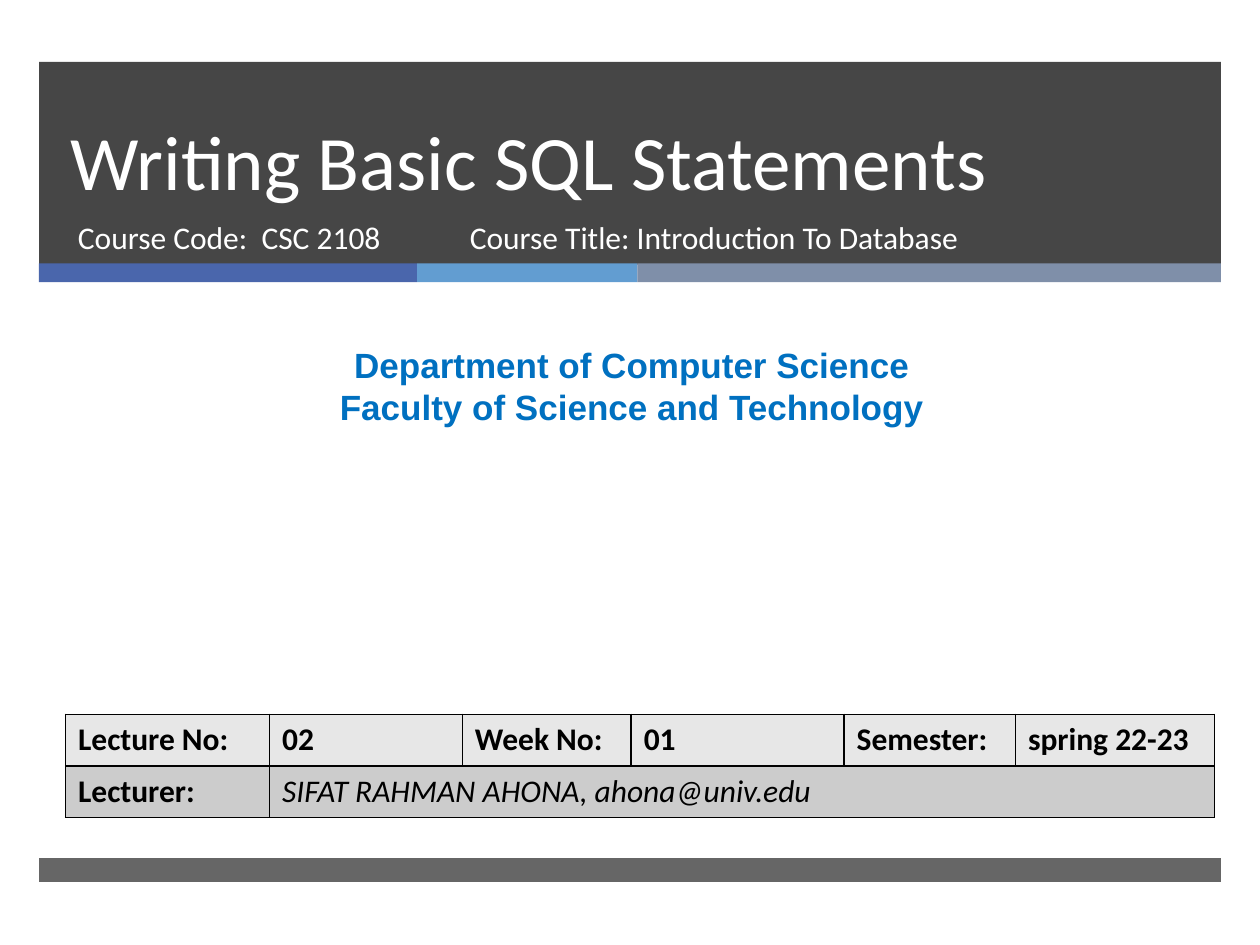
from lxml import etree
from pptx import Presentation
from pptx.dml.color import RGBColor
from pptx.enum import shapes, text
from pptx.oxml import ns
from pptx.util import Inches, Pt

WHITE = RGBColor(0xFF, 0xFF, 0xFF)
BLACK = RGBColor(0x00, 0x00, 0x00)
CHARCOAL = RGBColor(0x26, 0x26, 0x26)
INDIGO = RGBColor(0x4A, 0x66, 0xAC)
SKY = RGBColor(0x62, 0x9D, 0xD1)
SLATE = RGBColor(0x7F, 0x8F, 0xA9)
DEPARTMENT_BLUE = RGBColor(0x00, 0x70, 0xC0)
LIGHT_GREY = RGBColor(0xE7, 0xE7, 0xE7)
MID_GREY = RGBColor(0xCC, 0xCC, 0xCC)

BAND_LEFT, BAND_WIDTH = 0.31, 9.38
COLUMN_WIDTHS = [1.62, 1.53, 1.34, 1.69, 1.36, 1.58]
ROW_HEIGHT = 0.41


def write(frame, lines, size=18, font="Calibri", color=WHITE, bold=False,
          italic=False, align=text.PP_ALIGN.LEFT, spacing=None):
    """Fill a text frame with one paragraph per line."""
    for i, line in enumerate(lines):
        paragraph = frame.add_paragraph() if i else frame.paragraphs[0]
        paragraph.alignment = align
        if spacing:
            paragraph.line_spacing = Pt(spacing)
        run = paragraph.add_run()
        run.text = line
        run.font.size = Pt(size)
        run.font.name = font
        run.font.color.rgb = color
        run.font.bold = bold
        run.font.italic = italic


def add_label(slide, left, top, width, height, lines,
              anchor=text.MSO_ANCHOR.TOP, **style):
    box = slide.shapes.add_textbox(
        Inches(left), Inches(top), Inches(width), Inches(height))
    box.text_frame.word_wrap = True
    box.text_frame.vertical_anchor = anchor
    write(box.text_frame, lines, **style)


def add_band(slide, left, top, width, height, color, opacity=100):
    band = slide.shapes.add_shape(
        shapes.MSO_SHAPE.RECTANGLE,
        Inches(left), Inches(top), Inches(width), Inches(height))
    band.shadow.inherit = False
    band.line.fill.background()
    band.fill.solid()
    band.fill.fore_color.rgb = color
    if opacity < 100:
        tint = band.fill._xPr.find(".//" + ns.qn("a:srgbClr"))
        etree.SubElement(tint, ns.qn("a:alpha"), val=str(opacity * 1000))


def add_borders(cell):
    """Draw a 1 pt black line on all four sides; borders precede the fill."""
    properties = cell._tc.get_or_add_tcPr()
    for i, side in enumerate(("lnL", "lnR", "lnT", "lnB")):
        line = etree.Element(ns.qn("a:" + side), w=str(Pt(1)))
        fill = etree.SubElement(line, ns.qn("a:solidFill"))
        etree.SubElement(fill, ns.qn("a:srgbClr"), val=str(BLACK))
        properties.insert(i, line)


def add_lecture_table(slide):
    heading = ["Lecture No:", "02", "Week No:", "01", "Semester:", "spring 22-23"]
    lecturer = ["Lecturer:", "SIFAT RAHMAN AHONA, ahona@univ.edu"]
    table = slide.shapes.add_table(
        2, len(COLUMN_WIDTHS), Inches(0.52), Inches(5.67),
        Inches(sum(COLUMN_WIDTHS)), Inches(2 * ROW_HEIGHT)).table
    for column, width in zip(table.columns, COLUMN_WIDTHS):
        column.width = Inches(width)
    for row, fill in zip(table.rows, (LIGHT_GREY, MID_GREY)):
        row.height = Inches(ROW_HEIGHT)
        for cell in row.cells:
            cell.fill.solid()
            cell.fill.fore_color.rgb = fill
            add_borders(cell)
    table.cell(1, 1).merge(table.cell(1, len(COLUMN_WIDTHS) - 1))
    for r, values in enumerate((heading, lecturer)):
        for c, value in enumerate(values):
            is_name = (r, c) == (1, 1)
            write(table.cell(r, c).text_frame, [value], color=BLACK,
                  bold=not is_name, italic=is_name)


def main():
    deck = Presentation()
    deck.slide_width, deck.slide_height = Inches(10), Inches(7.5)
    slide = deck.slides.add_slide(deck.slide_layouts[6])

    # Header panel, three-colour stripe and footer bar
    add_band(slide, BAND_LEFT, 0.49, BAND_WIDTH, 1.61, CHARCOAL, opacity=85)
    left = BAND_LEFT
    for width, color in ((3, INDIGO), (1.75, SKY), (4.63, SLATE)):
        add_band(slide, left, 2.09, width, 0.15, color)
        left += width
    add_band(slide, BAND_LEFT, 6.81, BAND_WIDTH, 0.19, CHARCOAL, opacity=70)

    # Title and course details
    add_label(slide, 0.46, 0.49, 8.54, 1.19, ["Writing Basic SQL Statements"],
              anchor=text.MSO_ANCHOR.BOTTOM, size=44, spacing=46)
    add_label(slide, 0.52, 1.68, 3.05, 0.53, ["Course Code:  CSC 2108"])
    add_label(slide, 3.63, 1.68, 4.55, 0.53,
              ["Course Title: Introduction To Database"])

    # Department
    add_label(slide, 0.08, 2.68, 9.87, 0.77,
              ["Department of Computer Science",
               "Faculty of Science and Technology"],
              size=20, font="Arial", color=DEPARTMENT_BLUE, bold=True,
              align=text.PP_ALIGN.CENTER)

    # Lecture details
    add_lecture_table(slide)

    deck.save("out.pptx")


if __name__ == "__main__":
    main()
